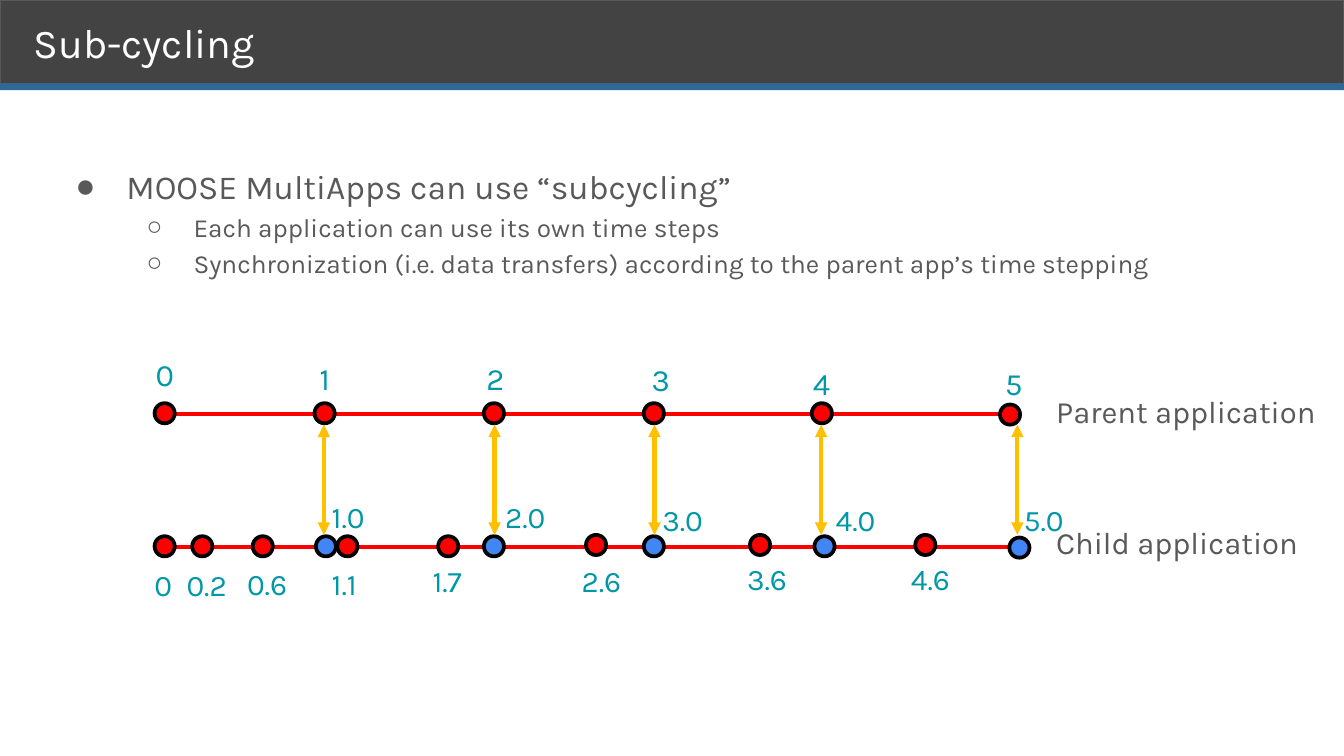
from lxml.etree import SubElement
from pptx import Presentation
from pptx.dml.color import RGBColor
from pptx.enum.shapes import MSO_CONNECTOR as Connector, MSO_SHAPE as Shape
from pptx.enum.text import MSO_ANCHOR as Anchor, MSO_AUTO_SIZE as AutoSize, PP_ALIGN as Align
from pptx.oxml.ns import qn
from pptx.util import Inches, Pt

SLIDE_WIDTH = 10
SLIDE_HEIGHT = SLIDE_WIDTH * 9 / 16
GREY, TEAL, WHITE, BLACK = "595959", "0097A7", "FFFFFF", "000000"
RED, BLUE, YELLOW = "FF0000", "4285F4", "FFC000"
DOT = 0.15
LABEL_WIDTH = 0.77
PARENT_Y, CHILD_Y = 3.08, 4.07
LINE_START, LINE_END = 1.23, 7.59

# time, dot left, dot top, label left, label top
PARENT_STEPS = [
    ("0", 1.15, 3, 0.94, 2.53),
    ("1", 2.34, 3, 2.16, 2.56),
    ("2", 3.6, 3, 3.4, 2.56),
    ("3", 4.79, 3, 4.63, 2.57),
    ("4", 6.04, 3, 5.83, 2.6),
    ("5", 7.44, 3.01, 7.26, 2.6),
]
CHILD_STEPS = [
    ("0", 1.15, 3.99, 0.93, 4.08),
    ("0.2", 1.43, 3.99, 1.17, 4.08),
    ("0.6", 1.88, 3.99, 1.62, 4.07),
    ("1.1", 2.51, 3.99, 2.25, 4.07),
    ("1.7", 3.26, 3.99, 3, 4.05),
    ("2.6", 4.36, 3.98, 4.11, 4.05),
    ("3.6", 5.58, 3.98, 5.34, 4.03),
    ("4.6", 6.81, 3.98, 6.56, 4.03),
]
SYNC_STEPS = [
    ("1.0", 2.35, 3.99, 2.25, 3.57),
    ("2.0", 3.6, 3.99, 3.54, 3.57),
    ("3.0", 4.79, 3.99, 4.71, 3.59),
    ("4.0", 6.06, 3.99, 6, 3.59),
    ("5.0", 7.51, 4, 7.4, 3.59),
]
SYNC_ARROWS = [2.41, 3.68, 4.87, 6.11, 7.57]
BULLETS = [
    (0, "MOOSE MultiApps can use “subcycling”"),
    (1, "Each application can use its own time steps"),
    (1, "Synchronization (i.e. data transfers) according to the parent app’s time stepping"),
]
# character, left margin, hanging indent, text size for each list level
BULLET_LEVELS = [("●", 0.5, -0.38, 18), ("○", 1, -0.35, 14)]


def rgb(color):
    return RGBColor.from_string(color)


class SlideBuilder:
    font_name = "Karla"
    bullet_font = "Arial"

    def __init__(self, slide):
        self.slide = slide
        self.shapes = slide.shapes

    def format_runs(self, paragraph, size, color):
        for run in paragraph.runs:
            run.font.name = self.font_name
            run.font.size = Pt(size)
            run.font.color.rgb = rgb(color)

    def place(self, shape, left, top, width, height, anchor=Anchor.TOP):
        """Position a text shape and give its frame the common margins."""
        shape.left, shape.top = Inches(left), Inches(top)
        shape.width, shape.height = Inches(width), Inches(height)
        frame = shape.text_frame
        frame.word_wrap = True
        frame.auto_size = AutoSize.NONE
        frame.vertical_anchor = anchor
        frame.margin_left = frame.margin_right = Inches(0.1)
        frame.margin_top = frame.margin_bottom = Inches(0.1)
        return frame

    def title(self, text):
        frame = self.place(self.shapes.title, 0.15, 0, 9.32, 0.63, Anchor.MIDDLE)
        frame.text = text
        frame.paragraphs[0].alignment = Align.LEFT
        self.format_runs(frame.paragraphs[0], 22, WHITE)

    def bullet_list(self, items):
        frame = self.place(self.slide.placeholders[1], 0.34, 1.09, 9.32, 1.27)
        frame.text = "\n".join(text for _, text in items)
        for paragraph, (level, _) in zip(frame.paragraphs, items):
            character, margin, indent, size = BULLET_LEVELS[level]
            paragraph.level = level
            properties = paragraph._p.get_or_add_pPr()
            properties.set("marL", str(Inches(margin)))
            properties.set("indent", str(Inches(indent)))
            bullet_color = SubElement(properties, qn("a:buClr"))
            SubElement(bullet_color, qn("a:srgbClr"), val=GREY)
            SubElement(properties, qn("a:buFont"), typeface=self.bullet_font)
            SubElement(properties, qn("a:buChar"), char=character)
            paragraph.line_spacing = 1.15
            paragraph.space_before = Pt(0)
            self.format_runs(paragraph, size, GREY)

    def shape(self, kind, left, top, width, height, fill, line=None, line_width=0):
        shape = self.shapes.add_shape(
            kind, Inches(left), Inches(top), Inches(width), Inches(height))
        shape.shadow.inherit = False
        shape.fill.solid()
        shape.fill.fore_color.rgb = rgb(fill)
        if line:
            shape.line.color.rgb = rgb(line)
            shape.line.width = Pt(line_width)
        else:
            shape.line.fill.background()
        return shape

    def header(self):
        """Draw the header bars and send them behind the title."""
        bars = [
            self.shape(Shape.RECTANGLE, 0, 0, SLIDE_WIDTH, 0.62, "434343", GREY, 0.75),
            self.shape(Shape.RECTANGLE, 0, 0.62, SLIDE_WIDTH, 0.05, "306998"),
        ]
        title = self.shapes.title.element
        for bar in bars:
            title.addprevious(bar.element)

    def label(self, text, left, top, width=LABEL_WIDTH, size=16.6, color=TEAL, spacing=1.05):
        box = self.shapes.add_textbox(0, 0, 0, 0)
        frame = self.place(box, left, top, width, 0.5)
        frame.text = text
        paragraph = frame.paragraphs[0]
        paragraph._p.get_or_add_pPr().set("marL", str(Inches(0.12)))
        paragraph.line_spacing = spacing
        self.format_runs(paragraph, size, color)

    def line(self, x1, y1, x2, y2, color, arrows=False):
        line = self.shapes.add_connector(
            Connector.STRAIGHT, Inches(x1), Inches(y1), Inches(x2), Inches(y2))
        line.line.color.rgb = rgb(color)
        line.line.width = Pt(2.25)
        if arrows:
            for end in ("a:headEnd", "a:tailEnd"):
                SubElement(line.line._get_or_add_ln(), qn(end), type="triangle")
        SubElement(line.element.spPr, qn("a:effectLst"))

    def steps(self, steps, fill, **label_style):
        """Draw a dot and its time label for every step."""
        for time, dot_left, dot_top, label_left, label_top in steps:
            self.shape(Shape.OVAL, dot_left, dot_top, DOT, DOT, fill, BLACK, 2)
            self.label(time, label_left, label_top, **label_style)


def main():
    presentation = Presentation()
    presentation.slide_width = Inches(SLIDE_WIDTH)
    presentation.slide_height = Inches(SLIDE_HEIGHT)
    slide = presentation.slides.add_slide(presentation.slide_layouts[1])
    builder = SlideBuilder(slide)

    builder.header()
    builder.title("Sub-cycling")
    builder.bullet_list(BULLETS)

    for y in (PARENT_Y, CHILD_Y):
        builder.line(LINE_START, y, LINE_END, y, RED)
    builder.steps(PARENT_STEPS, RED)
    builder.steps(CHILD_STEPS, RED, size=16, spacing=1.15)
    builder.steps(SYNC_STEPS, BLUE, size=16, spacing=1.15)
    builder.label("Parent application", 7.64, 2.81, width=2.42, color=GREY)
    builder.label("Child application", 7.64, 3.78, width=2.42, color=GREY)
    for x in SYNC_ARROWS:
        builder.line(x, 3.16, x, 3.98, YELLOW, arrows=True)

    presentation.save("out.pptx")


if __name__ == "__main__":
    main()
